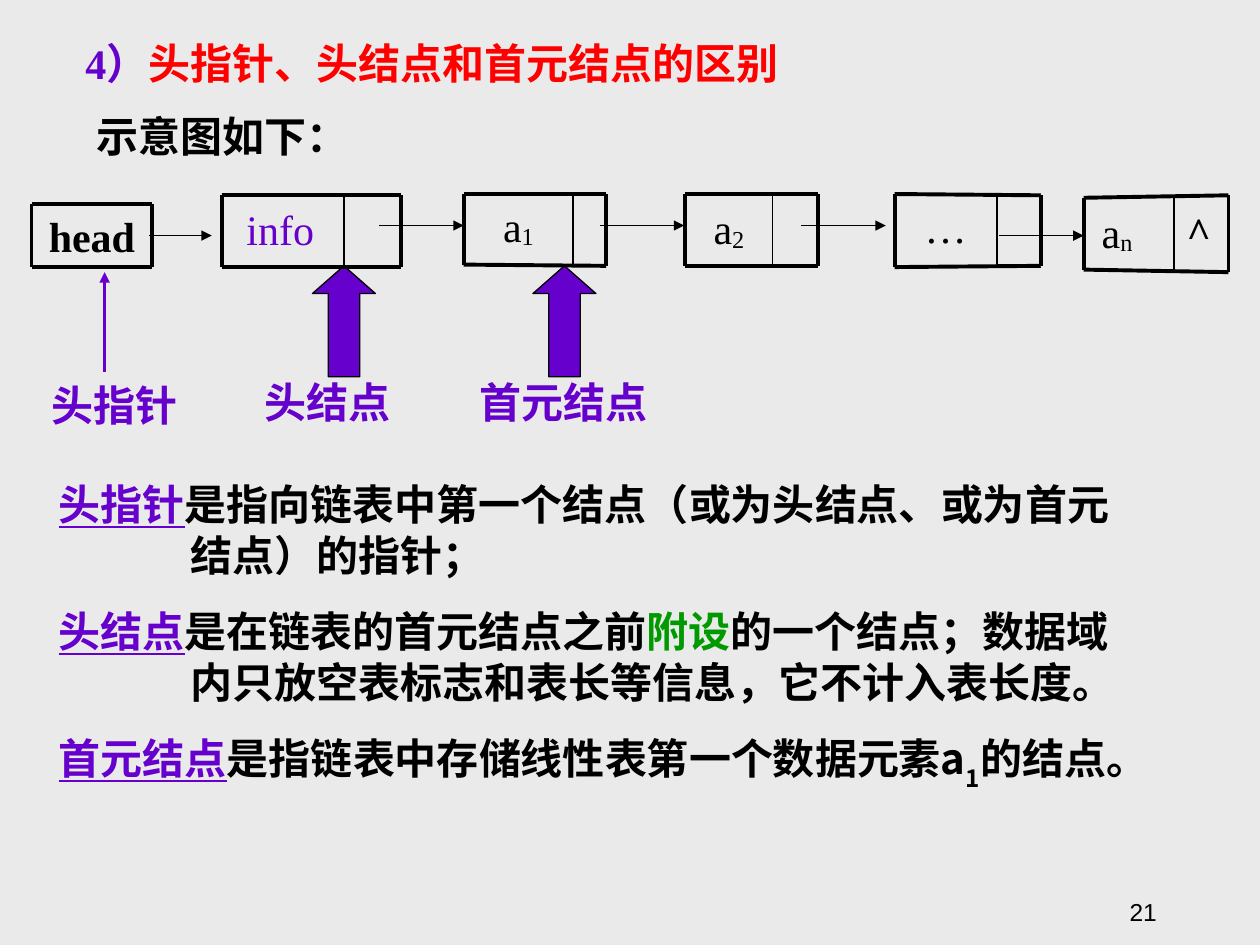
import dataclasses
import pptx
import pptx.util
import pptx.dml.color
import pptx.enum.shapes
import pptx.enum.text
import pptx.oxml.ns
from lxml import etree

Inches = pptx.util.Inches
Pt = pptx.util.Pt
qn = pptx.oxml.ns.qn
ALIGN = pptx.enum.text.PP_ALIGN
ANCHOR = pptx.enum.text.MSO_ANCHOR


@dataclasses.dataclass(frozen=True)
class Theme:
    background: str = "EAEAEA"
    black: str = "000000"
    purple: str = "6600CC"
    red: str = "FF0000"
    green: str = "009900"
    serif: str = "Times New Roman"
    sans: str = "Arial"
    cjk: str = "Noto Sans CJK SC"
    body: int = 24
    number: int = 14
    frame: float = 2.25
    divider: float = 1
    link: float = 0.75
    pointer: float = 2


T = Theme()


def rgb(value):
    return pptx.dml.color.RGBColor.from_string(value)


def add_run(p, text, color=T.black, size=T.body, font=T.serif, baseline=0, **formats):
    r = p.add_run()
    r.text = text
    values = {"size": Pt(size), "name": font, **formats}
    for name, value in values.items():
        setattr(r.font, name, value)
    r.font.color.rgb = rgb(color)
    rPr = r._r.get_or_add_rPr()
    etree.SubElement(rPr, qn("a:ea")).set("typeface", T.cjk)
    if baseline:
        rPr.set("baseline", str(baseline * 1000))


def add_text(s, box, paragraphs, align=ALIGN.LEFT, wrap=True, anchor=ANCHOR.TOP,
             hanging=0, gap=0):
    tf = s.shapes.add_textbox(*map(Inches, box)).text_frame
    tf.word_wrap = wrap
    tf.vertical_anchor = anchor
    for i, runs in enumerate(paragraphs):
        p = tf.paragraphs[0] if i == 0 else tf.add_paragraph()
        p.alignment = align
        if i and gap:
            p.space_before = Pt(gap)
        if hanging:
            pPr = p._p.get_or_add_pPr()
            pPr.set("marL", str(Inches(hanging)))
            pPr.set("indent", str(-Inches(hanging)))
        for text, formats in runs:
            add_run(p, text, **formats)


def add_line(s, x1, y1, x2, y2, width, color=T.black, arrow=False):
    line = s.shapes.add_connector(
        pptx.enum.shapes.MSO_CONNECTOR.STRAIGHT, *map(Inches, (x1, y1, x2, y2)))
    line.line.width = Pt(width)
    line.line.color.rgb = rgb(color)
    if arrow:
        etree.SubElement(line.line._get_or_add_ln(), qn("a:tailEnd")).set("type", "triangle")
    etree.SubElement(line._element.spPr, qn("a:effectLst"))


def add_node(s, left, right, tops, bottoms, divider=None):
    add_line(s, left, tops[0], right, tops[1], T.frame)
    add_line(s, left, bottoms[0], right, bottoms[1], T.frame)
    add_line(s, left, tops[0], left, bottoms[0], T.frame)
    add_line(s, right, tops[1], right, bottoms[1], T.frame)
    if divider:
        add_line(s, divider, tops[0], divider, bottoms[0], T.divider)


def add_up_arrow(s, left):
    sp = s.shapes.add_shape(pptx.enum.shapes.MSO_SHAPE.UP_ARROW,
                            Inches(left), Inches(2.11), Inches(0.5), Inches(0.88))
    sp.shadow.inherit = False
    sp.adjustments[0] = 0.5
    sp.adjustments[1] = 0.44
    sp.fill.solid()
    sp.fill.fore_color.rgb = rgb(T.purple)
    sp.line.color.rgb = rgb(T.black)
    sp.line.width = Pt(T.link)


def add_list_diagram(s):
    nodes = [
        (0.25, 1.21, (1.62, 1.62), (2.12, 2.12), None),
        (1.76, 3.18, (1.55, 1.55), (2.12, 2.12), 2.73),
        (3.68, 4.81, (1.54, 1.54), (2.1, 2.11), 4.55),
        (5.44, 6.49, (1.54, 1.54), (2.11, 2.11), 6.13),
        (7.1, 8.26, (1.54, 1.55), (2.12, 2.11), 7.91),
        (8.6, 9.75, (1.57, 1.55), (2.14, 2.16), 9.32),
    ]
    for node in nodes:
        add_node(s, *node)

    sub = {"baseline": -8}
    labels = [
        ((0.25, 1.62, 0.96, 0.5), [("head", {"bold": True})]),
        ((1.76, 1.57, 0.93, 0.57), [("info", {"color": T.purple})]),
        ((3.68, 1.54, 0.87, 0.5), [("a", {}), ("1", sub)]),
        ((5.44, 1.56, 0.69, 0.57), [("a", {}), ("2", sub)]),
        ((7.1, 1.55, 0.81, 0.57), [("…", {})]),
        ((8.59, 1.59, 0.55, 0.57), [("a", {}), ("n", sub)]),
    ]
    for box, runs in labels:
        add_text(s, box, [runs], align=ALIGN.CENTER)
    add_text(s, (9.32, 1.58, 0.51, 0.57), [[("^", {"bold": True})]])

    links = [(1.18, 1.68, 1.87), (3.01, 3.68, 1.79), (4.76, 5.43, 1.79),
             (6.36, 7.03, 1.79), (7.93, 8.6, 1.87)]
    for start, end, y in links:
        add_line(s, start, y, end, y, T.link, arrow=True)


def add_callouts(s):
    add_line(s, 0.83, 2.95, 0.83, 2.16, T.pointer, T.purple, arrow=True)
    for left in (2.48, 4.23):
        add_up_arrow(s, left)
    style = {"color": T.purple, "bold": True}
    for text, left, top, width in [("头指针", 0.31, 2.96, 1.2), ("头结点", 2, 2.94, 1.2),
                                   ("首元结点", 3.71, 2.94, 1.53)]:
        add_text(s, (left, top, width, 0.5), [[(text, style)]],
                 align=ALIGN.CENTER, wrap=False)


def add_definitions(s):
    plain = {"font": T.cjk, "bold": True}
    term = {**plain, "color": T.purple, "underline": True}
    add_text(s, (0.37, 3.75, 8.77, 2.99), [
        [("头指针", term),
         ("是指向链表中第一个结点（或为头结点、或为首元结点）的指针；", plain)],
        [("头结点", term), ("是在链表的首元结点之前", plain),
         ("附设", {**plain, "color": T.green}),
         ("的一个结点；数据域内只放空表标志和表长等信息，它不计入表长度。", plain)],
        [("首元结点", term), ("是指链表中存储线性表第一个数据元素a", plain),
         ("1", {**plain, "baseline": -30}), ("的结点。", plain)],
    ], hanging=1.04, gap=15)


def main():
    prs = pptx.Presentation()
    prs.slide_width, prs.slide_height = Inches(10), Inches(7.5)
    s = prs.slides.add_slide(prs.slide_layouts[6])
    s.background.fill.solid()
    s.background.fill.fore_color.rgb = rgb(T.background)

    add_text(s, (0.58, 0.25, 6.25, 0.55), [[
        ("4）", {"color": T.purple, "bold": True}),
        ("头指针、头结点和首元结点的区别", {"color": T.red, "bold": True})]], hanging=0.38)
    add_text(s, (0.67, 0.83, 3.08, 0.5),
             [[("示意图如下：", {"font": T.sans, "bold": True})]])
    add_callouts(s)
    add_list_diagram(s)
    add_definitions(s)
    add_text(s, (7.2, 6.9, 2.08, 0.5), [[("21", {"font": T.sans, "size": T.number})]],
             align=ALIGN.RIGHT, anchor=ANCHOR.BOTTOM)
    prs.save("out.pptx")


if __name__ == "__main__":
    main()
